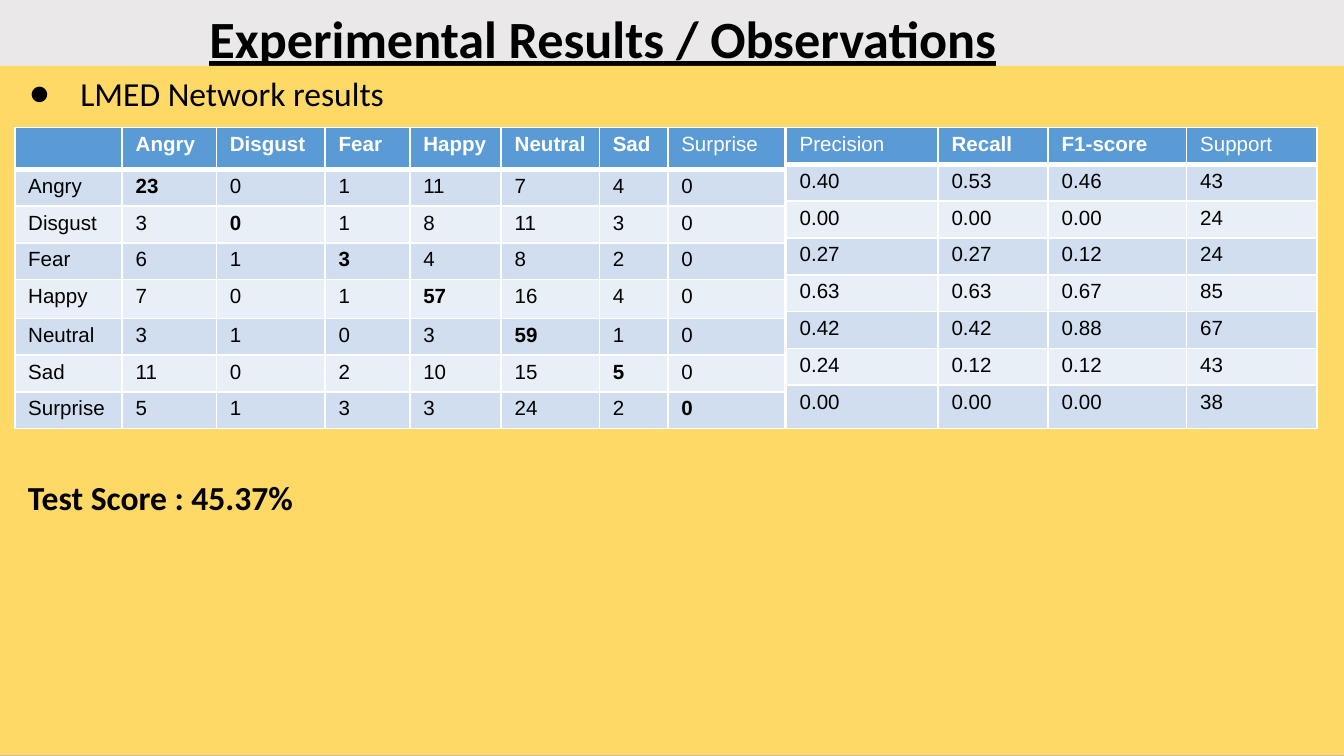
from copy import deepcopy

from lxml import etree
from pptx import Presentation
from pptx.dml.color import RGBColor
from pptx.enum.shapes import MSO_SHAPE
from pptx.enum.text import MSO_ANCHOR, PP_ALIGN
from pptx.oxml.ns import qn
from pptx.util import Inches, Pt

RECTANGLE = MSO_SHAPE.RECTANGLE
TOP, BOTTOM = MSO_ANCHOR.TOP, MSO_ANCHOR.BOTTOM
CENTER, JUSTIFY = PP_ALIGN.CENTER, PP_ALIGN.JUSTIFY

COLORS = {
    "black": "000000", "white": "FFFFFF", "panel": "FFD966",
    "header": "5B9BD5", "odd": "D0DEEF", "even": "E9EFF7",
}
BACKGROUND_STOPS = [(0, "EAE8E8"), (50, "E3E1E1"), (100, "BBB9B9")]
TABLE_HEIGHT = 2.24

EMOTIONS = ["Angry", "Disgust", "Fear", "Happy", "Neutral", "Sad", "Surprise"]
CONFUSION = [
    [23, 0, 1, 11, 7, 4, 0],
    [3, 0, 1, 8, 11, 3, 0],
    [6, 1, 3, 4, 8, 2, 0],
    [7, 0, 1, 57, 16, 4, 0],
    [3, 1, 0, 3, 59, 1, 0],
    [11, 0, 2, 10, 15, 5, 0],
    [5, 1, 3, 3, 24, 2, 0],
]
METRICS = [
    ["Precision", "Recall", "F1-score", "Support"],
    ["0.40", "0.53", "0.46", "43"],
    ["0.00", "0.00", "0.00", "24"],
    ["0.27", "0.27", "0.12", "24"],
    ["0.63", "0.63", "0.67", "85"],
    ["0.42", "0.42", "0.88", "67"],
    ["0.24", "0.12", "0.12", "43"],
    ["0.00", "0.00", "0.00", "38"],
]
PLAIN_HEADERS = {"Surprise", "Precision", "Support"}


def color(name):
    """Return the named colour."""
    return RGBColor.from_string(COLORS[name])


def add_run(paragraph, text, size, font_name, color_name="black", bold=False):
    """Add one formatted run and return it."""
    run = paragraph.add_run()
    run.text = text
    run.font.size = Pt(size)
    run.font.name = font_name
    run.font.bold = bold
    run.font.color.rgb = color(color_name)
    return run


def set_background(slide):
    """Fill the slide with a vertical grey gradient."""
    fill = slide.background.fill
    fill.gradient()
    fill.gradient_angle = 270
    stop_list = slide._element.find(".//" + qn("a:gsLst"))
    stop_list.insert(1, deepcopy(stop_list[0]))
    for stop, (position, hex_color) in zip(fill.gradient_stops, BACKGROUND_STOPS):
        stop.position = position / 100
        stop.color.rgb = RGBColor.from_string(hex_color)


def add_title(slide, text):
    """Place and format the title placeholder."""
    title = slide.shapes.title
    title.left, title.top = Inches(-0.04), Inches(-0.02)
    title.width, title.height = Inches(9.05), Inches(0.59)
    title.text_frame.word_wrap = True
    title.text_frame.vertical_anchor = BOTTOM
    paragraph = title.text_frame.paragraphs[0]
    paragraph.alignment = CENTER
    paragraph.line_spacing = 0.9
    add_run(paragraph, text, 28, "Calibri", bold=True).font.underline = True


def add_bullet(paragraph, character):
    """Give a paragraph a hanging bullet."""
    properties = paragraph._p.get_or_add_pPr()
    properties.set("marL", str(Inches(0.5)))
    properties.set("indent", str(Inches(-0.38)))
    bullet_color = etree.SubElement(properties, qn("a:buClr"))
    etree.SubElement(bullet_color, qn("a:srgbClr"), val=COLORS["black"])
    etree.SubElement(properties, qn("a:buFont"), typeface="Calibri")
    etree.SubElement(properties, qn("a:buChar"), char=character)


def add_panel(slide, text):
    """Add the yellow panel with its bulleted heading."""
    panel = slide.shapes.add_shape(RECTANGLE, 0, Inches(0.49), Inches(10), Inches(5.13))
    panel.shadow.inherit = False
    panel.fill.solid()
    panel.fill.fore_color.rgb = color("panel")
    panel.line.fill.background()
    panel.text_frame.vertical_anchor = TOP
    paragraph = panel.text_frame.paragraphs[0]
    paragraph.alignment = JUSTIFY
    add_bullet(paragraph, "\u25cf")
    add_run(paragraph, text, 18, "Calibri")


def add_score(slide, text):
    """Add the score line below the tables."""
    box = slide.shapes.add_textbox(Inches(0.11), Inches(3.45), Inches(2.7), Inches(0.4))
    frame = box.text_frame
    frame.word_wrap = True
    frame.margin_top = frame.margin_bottom = Inches(0.1)
    add_run(frame.paragraphs[0], text, 18, "Calibri", bold=True)


def set_borders(cell, bottom_width):
    """Draw white borders, with a chosen width below."""
    properties = cell._tc.get_or_add_tcPr()
    widths = {"a:lnL": 1, "a:lnR": 1, "a:lnT": 1, "a:lnB": bottom_width}
    for position, (tag, width) in enumerate(widths.items()):
        line = etree.Element(qn(tag), w=str(Pt(width)))
        fill = etree.SubElement(line, qn("a:solidFill"))
        etree.SubElement(fill, qn("a:srgbClr"), val=COLORS["white"])
        properties.insert(position, line)


def format_cell(cell, text, is_header, fill_name, bold):
    """Fill one table cell with text and colour."""
    cell.margin_left = cell.margin_right = Inches(0.1)
    cell.margin_top = cell.margin_bottom = Inches(0.04)
    cell.fill.solid()
    cell.fill.fore_color.rgb = color(fill_name)
    set_borders(cell, 3 if is_header else 1)
    paragraph = cell.text_frame.paragraphs[0]
    if text:
        add_run(paragraph, text, 11, "Arial", "white" if is_header else "black", bold)
    else:
        etree.SubElement(paragraph._p, qn("a:endParaRPr"), sz="1100")


def add_result_table(slide, left, column_widths, row_shares, rows, bold_diagonal=False):
    """Add a banded table whose rows share the common height."""
    frame = slide.shapes.add_table(
        len(rows), len(column_widths), Inches(left), Inches(0.95),
        Inches(sum(column_widths)), Inches(TABLE_HEIGHT))
    table = frame.table
    for column, width in zip(table.columns, column_widths):
        column.width = Inches(width)
    for row, share in zip(table.rows, row_shares):
        row.height = Inches(TABLE_HEIGHT * share / sum(row_shares))
    for row_index, values in enumerate(rows):
        is_header = row_index == 0
        fill_name = "header" if is_header else ("even", "odd")[row_index % 2]
        for column_index, value in enumerate(values):
            if is_header:
                bold = value not in PLAIN_HEADERS
            else:
                bold = bold_diagonal and row_index == column_index
            format_cell(table.cell(row_index, column_index), str(value),
                        is_header, fill_name, bold)


def main():
    """Build the results slide."""
    presentation = Presentation()
    presentation.slide_width = Inches(10)
    presentation.slide_height = Inches(10 * 9 / 16)
    slide = presentation.slides.add_slide(presentation.slide_layouts[5])
    set_background(slide)
    add_title(slide, "Experimental Results / Observations")
    add_panel(slide, "LMED Network results")
    add_score(slide, "Test Score : 45.37%")
    confusion_rows = [["", *EMOTIONS]]
    confusion_rows += [[name, *counts] for name, counts in zip(EMOTIONS, CONFUSION)]
    add_result_table(slide, 0.11, [0.8, 0.7, 0.81, 0.63, 0.68, 0.73, 0.51, 0.87],
                     [0.31, *[0.27] * 3, 0.29, *[0.27] * 3], confusion_rows, True)
    add_result_table(slide, 5.85, [1.13, 0.82, 1.03, 0.97],
                     [*[0.27] * 7, 0.32], METRICS)
    presentation.save("out.pptx")


main()
